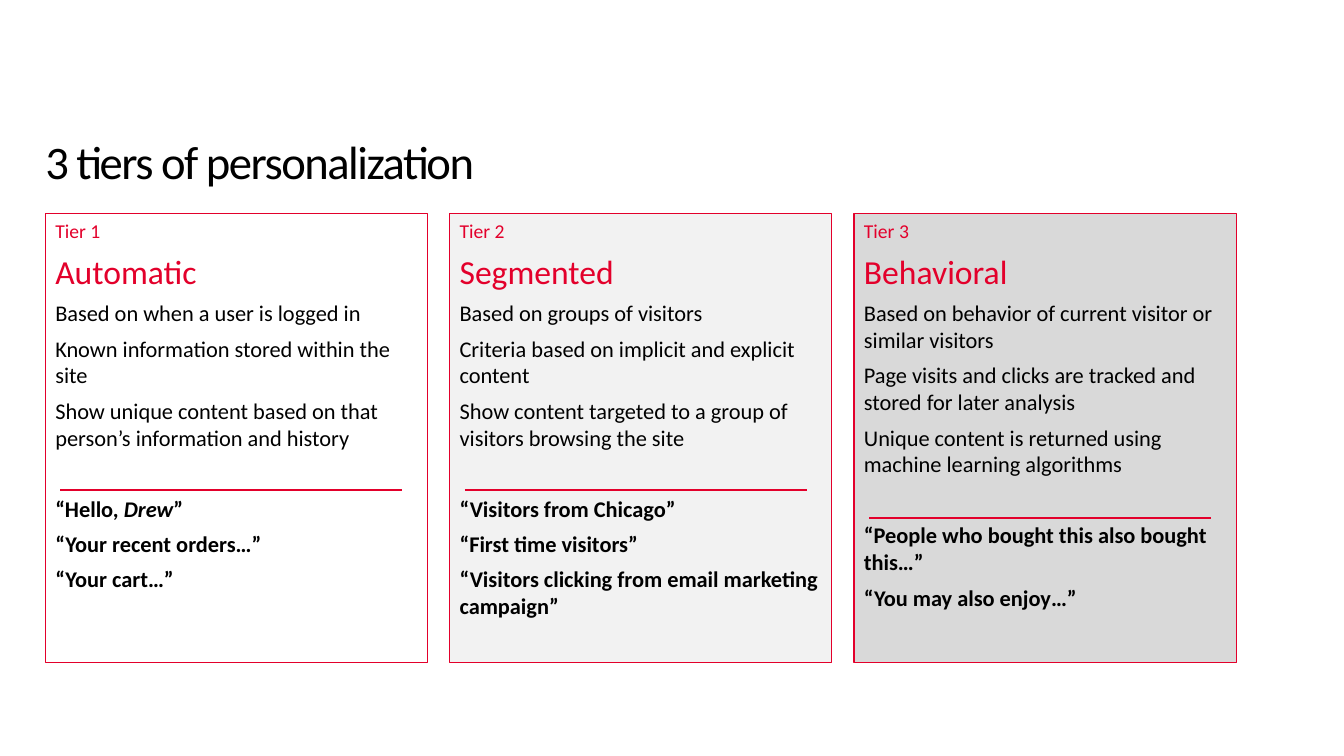
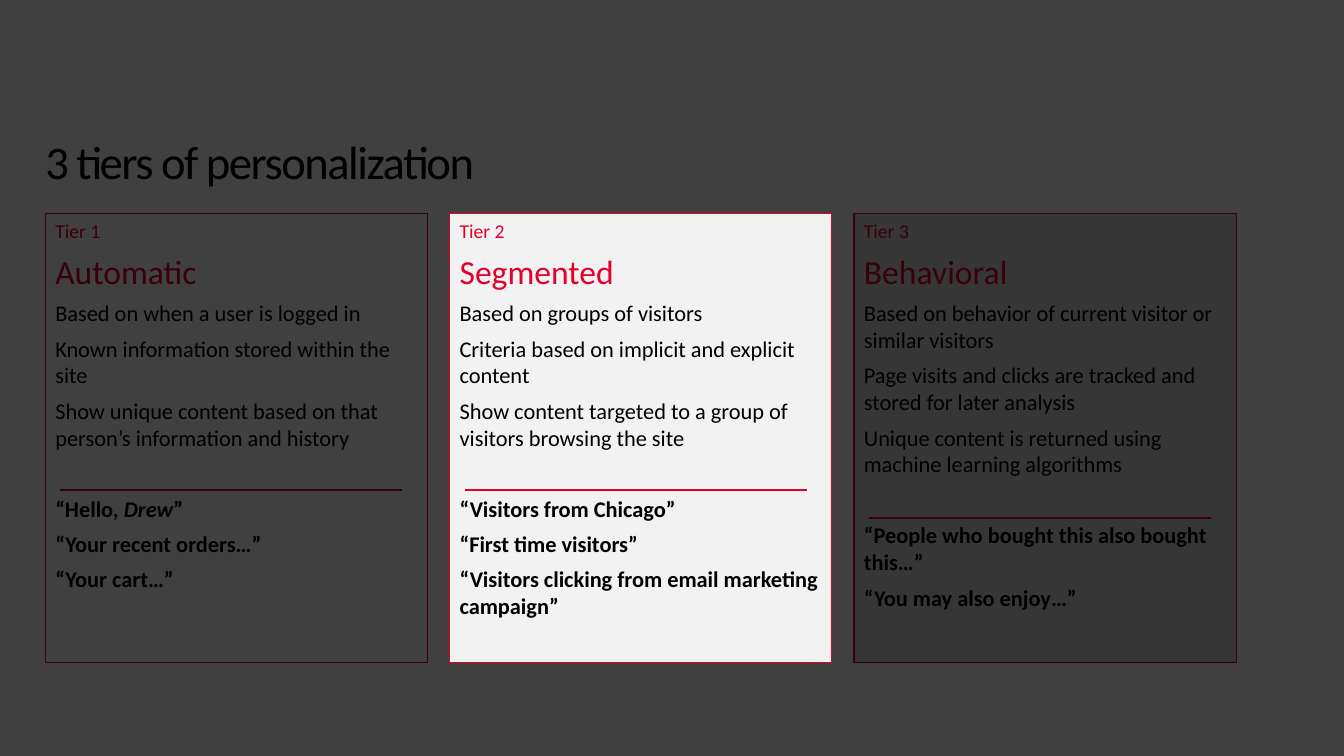
from dataclasses import dataclass

from lxml import etree
from pptx import Presentation
from pptx.dml.color import RGBColor
from pptx.enum.shapes import MSO_CONNECTOR, MSO_SHAPE
from pptx.enum.text import MSO_ANCHOR, PP_ALIGN
from pptx.oxml.ns import qn
from pptx.util import Inches, Pt

RECTANGLE = MSO_SHAPE.RECTANGLE
STRAIGHT = MSO_CONNECTOR.STRAIGHT
TOP = MSO_ANCHOR.TOP
LEFT = PP_ALIGN.LEFT

RED = RGBColor(0xE3, 0x00, 0x2B)
BLACK = RGBColor(0x00, 0x00, 0x00)
WHITE = RGBColor(0xFF, 0xFF, 0xFF)
PALE_GREY = RGBColor(0xF2, 0xF2, 0xF2)
MID_GREY = RGBColor(0xD9, 0xD9, 0xD9)

FONT = "Calibri"
SLIDE_W, SLIDE_H = 13.33, 7.5
MARGIN = 0.45
CARD_TOP, CARD_W, CARD_H = 2.12, 3.79, 4.45
CARD_PITCH = 4.01
RULE_INSET, RULE_W = 0.15, 3.39
EXAMPLE_GAP = 25.5


@dataclass
class Tier:
    """Content of one personalization tier; each example is a list of (text, italic)."""
    label: str
    name: str
    traits: list
    examples: list
    fill: RGBColor
    rule_offset: float


TIERS = [
    Tier("Tier 1", "Automatic",
         ["Based on when a user is logged in",
          "Known information stored within the site",
          "Show unique content based on that person’s information and history"],
         [[("“Hello, ", False), ("Drew", True), ("”", False)],
          [("“Your recent orders…”", False)],
          [("“Your cart…”", False)]],
         WHITE, 2.74),
    Tier("Tier 2", "Segmented",
         ["Based on groups of visitors",
          "Criteria based on implicit and explicit content",
          "Show content targeted to a group of visitors browsing the site"],
         [[("“Visitors from Chicago”", False)],
          [("“First time visitors”", False)],
          [("“Visitors clicking from email marketing campaign”", False)]],
         PALE_GREY, 2.74),
    Tier("Tier 3", "Behavioral",
         ["Based on behavior of current visitor or similar visitors",
          "Page visits and clicks are tracked and stored for later analysis",
          "Unique content is returned using machine learning algorithms"],
         [[("“People who bought this also bought this…”", False)],
          [("“You may also enjoy…”", False)]],
         MID_GREY, 3.02),
]


def add_run(paragraph, text, size, color, bold=False, italic=False):
    """Append a styled run and return it."""
    run = paragraph.add_run()
    run.text = text
    font = run.font
    font.name, font.size = FONT, Pt(size)
    font.bold, font.italic = bold, italic
    font.color.rgb = color
    return run


def add_panel(shapes, left, top, width, height, fill):
    """Add a flat filled rectangle."""
    panel = shapes.add_shape(RECTANGLE, Inches(left), Inches(top),
                             Inches(width), Inches(height))
    panel.shadow.inherit = False
    panel.fill.solid()
    panel.fill.fore_color.rgb = fill
    return panel


def add_rule(shapes, left, top, width):
    """Add a horizontal red rule."""
    rule = shapes.add_connector(STRAIGHT, Inches(left), Inches(top),
                                Inches(left + width), Inches(top))
    rule.line.color.rgb = RED
    rule.line.width = Pt(1)
    etree.SubElement(rule.line._get_or_add_ln().getparent(), qn("a:effectLst"))


def add_title(slide):
    """Add the slide title."""
    title = slide.shapes.add_textbox(Inches(MARGIN), Inches(1.32),
                                     Inches(7.14), Inches(0.81))
    frame = title.text_frame
    frame.word_wrap = True
    frame.vertical_anchor = TOP
    frame.margin_left = frame.margin_right = 0
    frame.margin_top = frame.margin_bottom = 0
    run = add_run(frame.paragraphs[0], "3 tiers of personalization", 33.3, BLACK)
    run.font._element.set("spc", "-110")


def add_tier_text(frame, tier):
    """Write the label, name, traits and examples of a tier."""
    frame.word_wrap = True
    frame.vertical_anchor = TOP
    lines = [([(tier.label, False)], 14, RED, False),
             ([(tier.name, False)], 24, RED, False)]
    lines += [([(trait, False)], 16, BLACK, False) for trait in tier.traits]
    first_example = len(lines)
    lines += [(example, 16, BLACK, True) for example in tier.examples]
    for index, (pieces, size, color, bold) in enumerate(lines):
        paragraph = frame.add_paragraph() if index else frame.paragraphs[0]
        paragraph.alignment = LEFT
        paragraph.space_after = Pt(6)
        if index == first_example:
            paragraph.space_before = Pt(EXAMPLE_GAP)
        for text, italic in pieces:
            add_run(paragraph, text, size, color, bold, italic)


def add_tier_card(slide, index):
    """Add one tier as a grouped card with its dividing rule."""
    tier = TIERS[index]
    left = MARGIN + index * CARD_PITCH
    shapes = slide.shapes.add_group_shape().shapes
    card = add_panel(shapes, left, CARD_TOP, CARD_W, CARD_H, tier.fill)
    card.line.color.rgb = RED
    card.line.width = Pt(0.75)
    add_tier_text(card.text_frame, tier)
    add_rule(shapes, left + RULE_INSET, CARD_TOP + tier.rule_offset, RULE_W)


def add_dimmer(slide):
    """Cover the slide with a translucent black veil."""
    veil = add_panel(slide.shapes, 0, 0, SLIDE_W, SLIDE_H, BLACK)
    veil.line.fill.background()
    color = veil._element.spPr.find(qn("a:solidFill"))[0]
    etree.SubElement(color, qn("a:alpha"), val="75000")


def add_tiers_slide(deck, spotlight=None):
    """Add the three tiers, dimming all but the spotlit one if given."""
    slide = deck.slides.add_slide(deck.slide_layouts[6])
    add_title(slide)
    for index in range(len(TIERS)):
        if index != spotlight:
            add_tier_card(slide, index)
    if spotlight is not None:
        add_dimmer(slide)
        add_tier_card(slide, spotlight)


def main():
    """Build and save the deck."""
    deck = Presentation()
    deck.slide_width, deck.slide_height = Inches(SLIDE_W), Inches(SLIDE_H)
    add_tiers_slide(deck)
    add_tiers_slide(deck, spotlight=1)
    deck.save("out.pptx")


if __name__ == "__main__":
    main()
